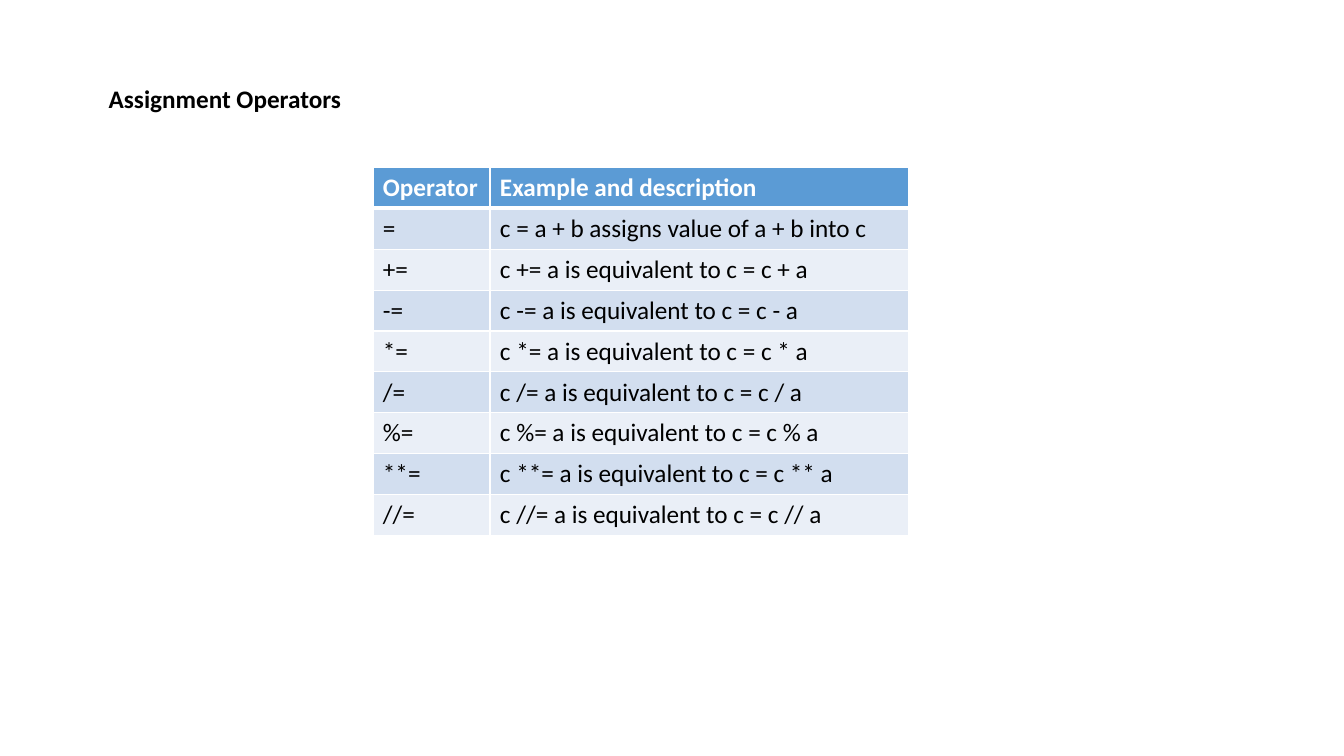
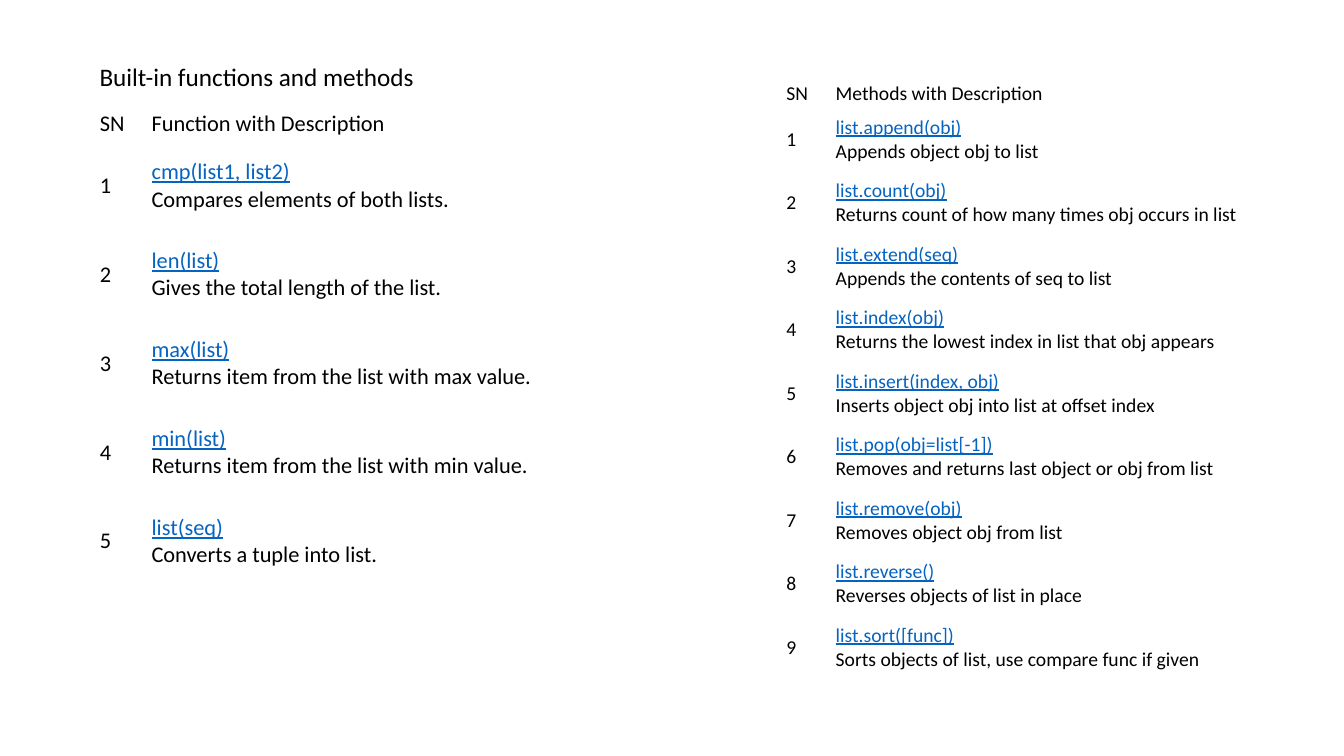
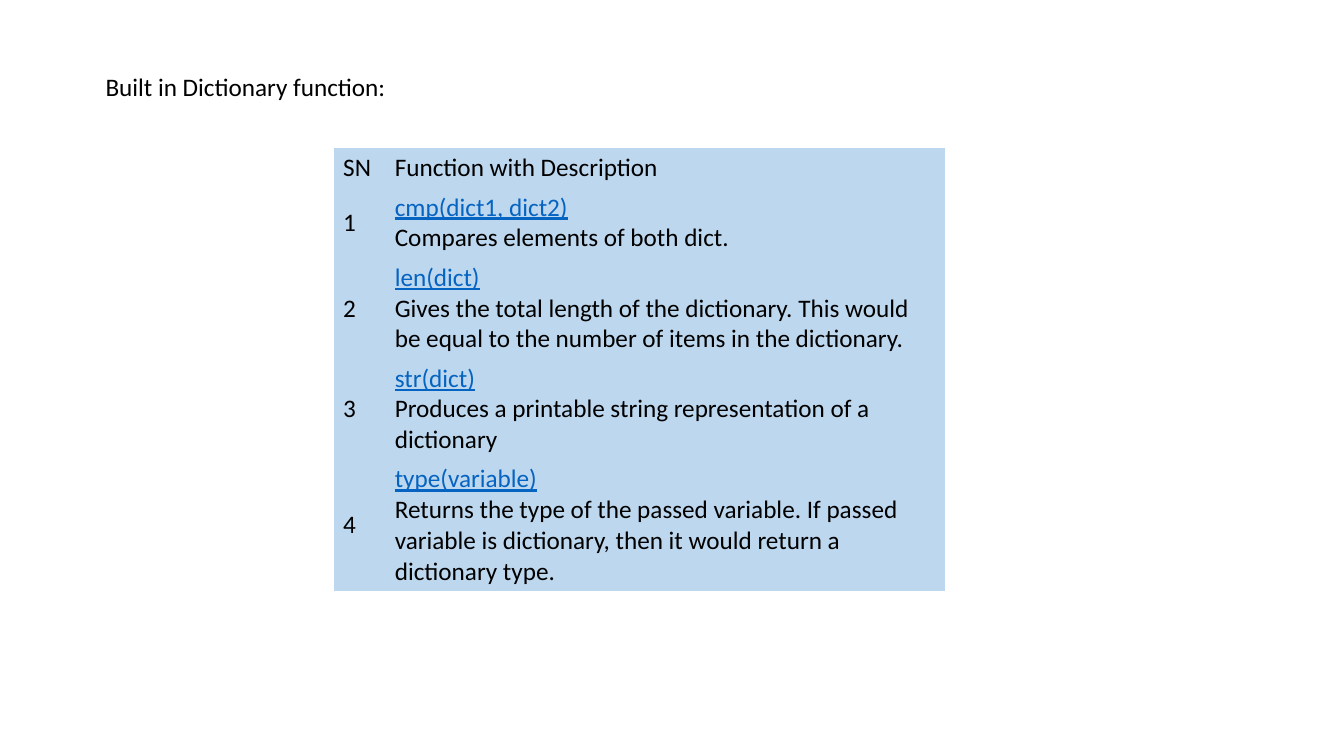
import pptx
import pptx.dml.color
import pptx.enum.text
import pptx.oxml
import pptx.oxml.ns
import pptx.util
from pptx.util import Cm

BLACK, WHITE, LINK = "000000", "FFFFFF", "0563C1"
HEAD, BAND_DARK, BAND_LIGHT, PANEL = "5B9BD5", "D2DEEF", "EAEFF7", "BDD7EE"
NO_STYLE = "{2D5ABB26-0587-4C30-8999-92F81FD0307C}"

OPERATORS = ["+", "-", "*", "/", "%", "**", "//"]
LIST_FUNCTIONS = [
    ("cmp(list1, list2)", "Compares elements of both lists."),
    ("len(list)", "Gives the total length of the list."),
    ("max(list)", "Returns item from the list with max value."),
    ("min(list)", "Returns item from the list with min value."),
    ("list(seq)", "Converts a tuple into list."),
]
LIST_METHODS = [
    ("list.append(obj)", "Appends object obj to list"),
    ("list.count(obj)", "Returns count of how many times obj occurs in list"),
    ("list.extend(seq)", "Appends the contents of seq to list"),
    ("list.index(obj)", "Returns the lowest index in list that obj appears"),
    ("list.insert(index, obj)", "Inserts object obj into list at offset index"),
    ("list.pop(obj=list[-1])", "Removes and returns last object or obj from list"),
    ("list.remove(obj)", "Removes object obj from list"),
    ("list.reverse()", "Reverses objects of list in place"),
    ("list.sort([func])", "Sorts objects of list, use compare func if given"),
]
DICT_FUNCTIONS = [
    ("cmp(dict1, dict2)", "Compares elements of both dict."),
    ("len(dict)", "Gives the total length of the dictionary. This would be equal "
                  "to the number of items in the dictionary."),
    ("str(dict)", "Produces a printable string representation of a dictionary"),
    ("type(variable)", "Returns the type of the passed variable. If passed variable is "
                       "dictionary, then it would return a dictionary type."),
]


def rgb(value):
    return pptx.dml.color.RGBColor.from_string(value)


def add_text(p, text, size=18, color=BLACK, bold=False, underline=False):
    r = p.add_run()
    r.text = text
    r.font.name = "Calibri"
    r.font.size = pptx.util.Pt(size)
    r.font.color.rgb = rgb(color)
    r.font.bold = bold
    r.font.underline = underline


class Deck:
    """Holds the shared style and the current slide."""

    def __init__(self):
        self.prs = pptx.Presentation()
        self.prs.slide_width, self.prs.slide_height = Cm(33.87), Cm(19.05)
        self.s = None

    def slide(self):
        self.s = self.prs.slides.add_slide(self.prs.slide_layouts[6])

    def title(self, text, left, top, width, **fmt):
        tf = self.s.shapes.add_textbox(Cm(left), Cm(top), Cm(width), Cm(1.02)).text_frame
        tf.word_wrap = False
        tf.auto_size = pptx.enum.text.MSO_AUTO_SIZE.SHAPE_TO_FIT_TEXT
        add_text(tf.paragraphs[0], text, **fmt)

    def table(self, left, top, widths, heights):
        sp = self.s.shapes.add_table(len(heights), len(widths), Cm(left), Cm(top),
                                     Cm(sum(widths)), Cm(sum(heights)))
        for style in sp.element.iter(pptx.oxml.ns.qn("a:tableStyleId")):
            style.text = NO_STYLE
        table = sp.table
        table.first_row = table.horz_banding = False
        for column, width in zip(table.columns, widths):
            column.width = Cm(width)
        for row, height in zip(table.rows, heights):
            row.height = Cm(height)
        return table

    def cell(self, cell, lines, fill=None, margins=(0.25, 0.13), middle=True):
        cell.margin_left = cell.margin_right = Cm(margins[0])
        cell.margin_top = cell.margin_bottom = Cm(margins[1])
        anchor = pptx.enum.text.MSO_ANCHOR
        cell.vertical_anchor = anchor.MIDDLE if middle else anchor.TOP
        if fill:
            cell.fill.solid()
            cell.fill.fore_color.rgb = rgb(fill)
        else:
            cell.fill.background()
        tf = cell.text_frame
        for i, (text, fmt) in enumerate(lines):
            add_text(tf.add_paragraph() if i else tf.paragraphs[0], text, **fmt)

    def borders(self, cell, **points):
        tc_pr = cell._tc.get_or_add_tcPr()
        for i, (side, width) in enumerate(points.items()):
            tc_pr.insert(i, pptx.oxml.parse_xml(
                f'<a:ln{side} {pptx.oxml.ns.nsdecls("a")} w="{pptx.util.Pt(width)}">'
                f'<a:solidFill><a:srgbClr val="{WHITE}"/></a:solidFill></a:ln{side}>'))

    def operator_table(self, left, top, rows):
        table = self.table(left, top, [2.95, 10.54], [1.03] * len(rows))
        for i, row in enumerate(rows):
            fill = BAND_DARK if i % 2 else BAND_LIGHT
            fmt = {}
            if i == 0:
                fill, fmt = HEAD, {"color": WHITE, "bold": True}
            for j, text in enumerate(row):
                cell = table.cell(i, j)
                self.borders(cell, L=1, R=1, T=3 if i == 1 else 1, B=1 if i else 3)
                self.cell(cell, [(text, fmt)], fill, middle=False)

    def reference_table(self, left, top, widths, heights, heading, entries, size=18, **style):
        table = self.table(left, top, widths, heights)
        plain = {"size": size}
        link = {"size": size, "color": LINK, "underline": True}
        rows = [("SN", [(heading, plain)])]
        rows += [(str(n), [(name, link), (about, plain)])
                 for n, (name, about) in enumerate(entries, 1)]
        for i, (number, lines) in enumerate(rows):
            self.cell(table.cell(i, 0), [(number, plain)], **style)
            self.cell(table.cell(i, 1), lines, **style)


def main():
    deck = Deck()

    deck.slide()
    deck.title("Assignment Operators", 2.49, 1.98, 6.4, bold=True)
    rows = [("Operator", "Example and description"),
            ("=", "c = a + b assigns value of a + b into c")]
    rows += [(f"{op}=", f"c {op}= a is equivalent to c = c {op} a") for op in OPERATORS]
    deck.operator_table(9.4, 4.22, rows)

    deck.slide()
    deck.reference_table(19.69, 1.98, [1.24, 11.33], [0.64] + [1.6] * len(LIST_METHODS),
                         "Methods with Description", LIST_METHODS,
                         size=14, margins=(0.13, 0.07))
    deck.reference_table(2.29, 2.67, [1.3, 11.07], [0.89] + [2.24] * len(LIST_FUNCTIONS),
                         "Function with Description", LIST_FUNCTIONS,
                         size=16, margins=(0.23, 0.1))
    deck.title("Built-in functions and methods", 2.26, 1.42, 8.56)

    deck.slide()
    deck.title("Built in Dictionary function:", 2.41, 1.68, 7.67)
    heights = [0.23 + 0.77 * lines for lines in (1, 2, 3, 3, 4)]
    deck.reference_table(8.41, 3.73, [1.3, 14.1], heights,
                         "Function with Description", DICT_FUNCTIONS,
                         fill=PANEL, margins=(0.24, 0.11))

    deck.prs.save("out.pptx")


if __name__ == "__main__":
    main()
